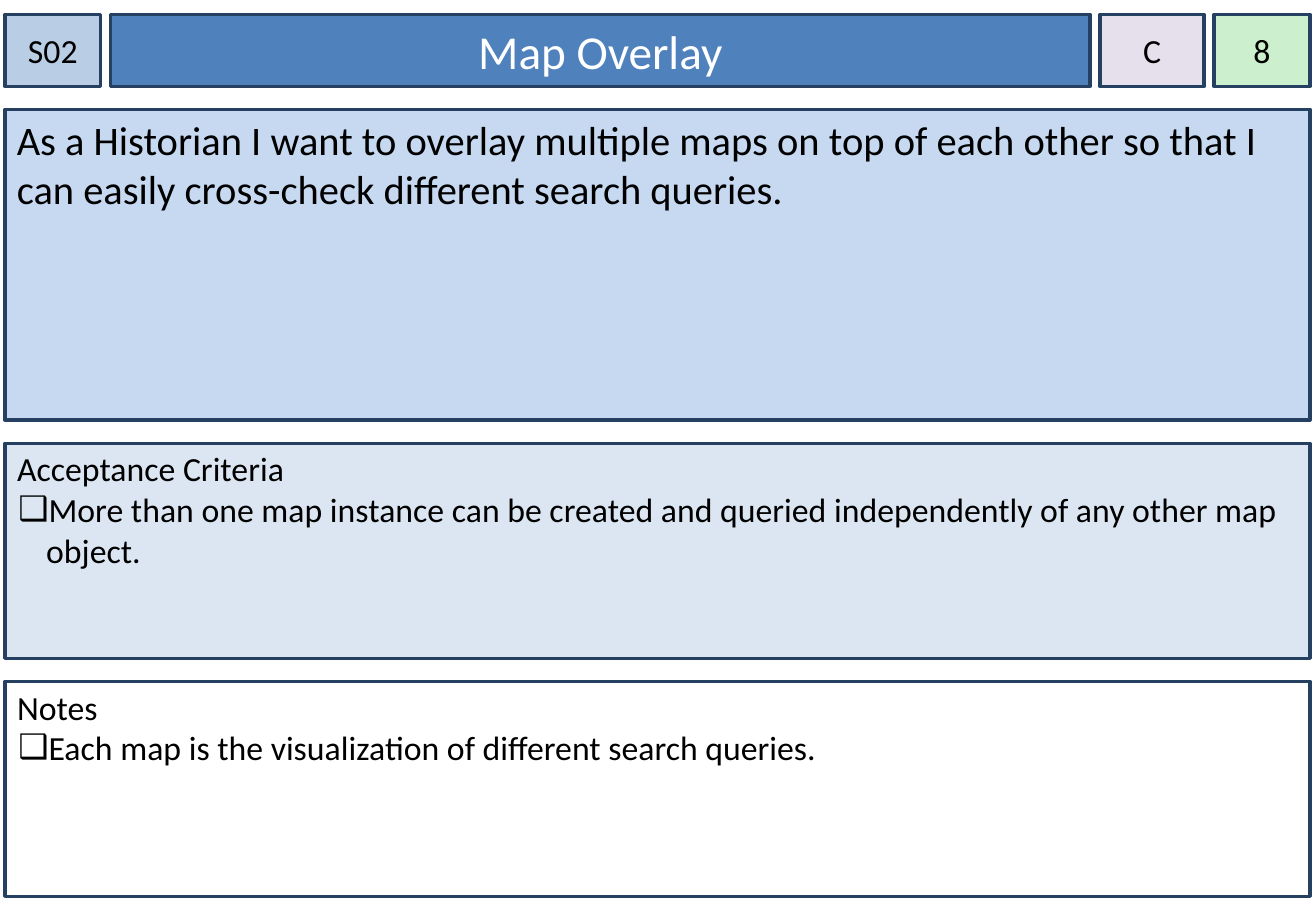
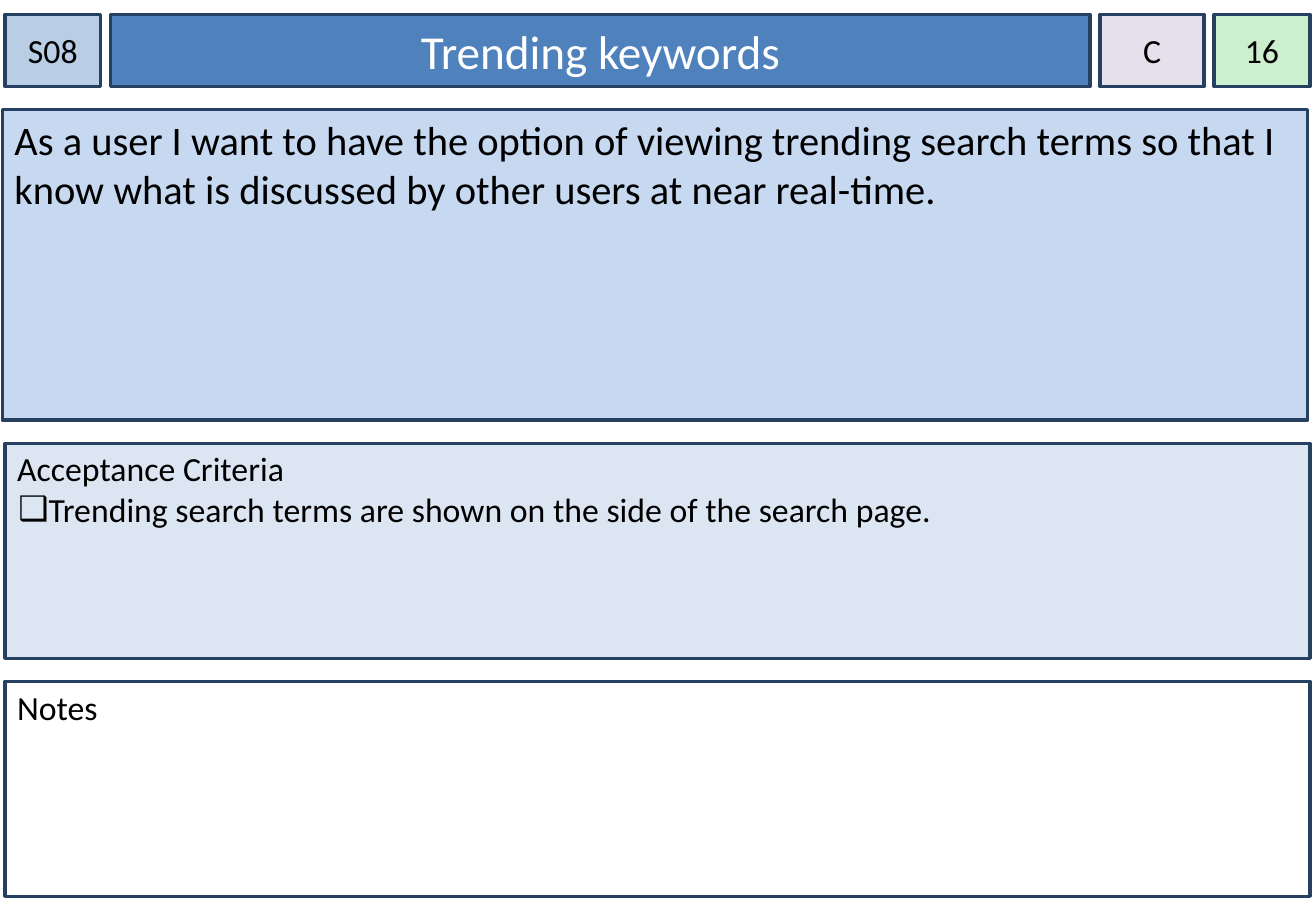
from lxml import etree
from pptx import Presentation
from pptx.dml.color import RGBColor
from pptx.enum.shapes import MSO_SHAPE
from pptx.enum.text import MSO_ANCHOR, MSO_AUTO_SIZE, PP_ALIGN
from pptx.oxml.ns import qn
from pptx.util import Pt

RECTANGLE = MSO_SHAPE.RECTANGLE
TOP, MIDDLE = MSO_ANCHOR.TOP, MSO_ANCHOR.MIDDLE
NO_AUTOFIT = MSO_AUTO_SIZE.NONE
LEFT, CENTER = PP_ALIGN.LEFT, PP_ALIGN.CENTER

PX = 9144
SLIDE_WIDTH, SLIDE_HEIGHT = 1084, 750
MARGIN = 4
PANEL_WIDTH = 1075
HEADER_TOP, HEADER_HEIGHT = 12, 59
STORY_TOP, STORY_HEIGHT = 90, 256
LIST_TOP, LIST_HEIGHT, LIST_STEP = 365, 177, 196
LIST_INDENT, LIST_HANG = 24, 23
TWO_CONTENT_LAYOUT = 3

FONT = "Calibri"
BULLET = "❑"
COLORS = {
    "outline": "254061",
    "text": "000000",
    "title_text": "FFFFFF",
    "code": "B9CDE5",
    "title": "4F81BD",
    "priority": "E6E0EC",
    "points": "CCF0CD",
    "story": "C6D9F1",
    "criteria": "DCE6F2",
    "notes": "FFFFFF",
}

CARDS = [
    {
        "code": "S02",
        "title": "Map Overlay",
        "priority": "C",
        "points": "8",
        "story_left": MARGIN,
        "story": "As a Historian I want to overlay multiple maps on top of each other "
                 "so that I can easily cross-check different search queries.",
        "criteria": ["More than one map instance can be created and queried "
                     "independently of any other map object."],
        "notes": ["Each map is the visualization of different search queries."],
    },
    {
        "code": "S08",
        "title": "Trending keywords",
        "priority": "C",
        "points": "16",
        "story_left": MARGIN - 2,
        "story": "As a user I want to have the option of viewing trending search terms "
                 "so that I know what is discussed by other users at near real-time.",
        "criteria": ["Trending search terms are shown on the side of the search page."],
        "notes": [],
    },
]


def color(name):
    return RGBColor.from_string(COLORS[name])


def px(length):
    return length * PX


def style_box(box, place, fill, anchor, side_inset=10, top_inset=5):
    box.left, box.top, box.width, box.height = map(px, place)
    box.shadow.inherit = False
    box.fill.solid()
    box.fill.fore_color.rgb = color(fill)
    box.line.color.rgb = color("outline")
    box.line.width = Pt(2)
    frame = box.text_frame
    frame.word_wrap = True
    frame.auto_size = NO_AUTOFIT
    frame.vertical_anchor = anchor
    frame.margin_left = frame.margin_right = px(side_inset)
    frame.margin_top, frame.margin_bottom = px(top_inset), px(5)


def write(para, text, size, align=LEFT, text_color="text"):
    para.alignment = align
    para.space_before = Pt(0)
    span = para.add_run()
    span.text = text
    span.font.name = FONT
    span.font.size = Pt(size)
    span.font.color.rgb = color(text_color)


def set_bullet(para, symbol=None):
    properties = para._p.get_or_add_pPr()
    properties.set("marL", str(px(LIST_INDENT if symbol else 0)))
    properties.set("indent", str(px(-LIST_HANG if symbol else 0)))
    if symbol:
        etree.SubElement(properties, qn("a:buChar")).set("char", symbol)
    else:
        etree.SubElement(properties, qn("a:buNone"))


def add_box(page, place, fill, text, size, align, anchor, side_inset=10):
    box = page.shapes.add_shape(RECTANGLE, *map(px, place))
    style_box(box, place, fill, anchor, side_inset)
    write(box.text_frame.paragraphs[0], text, size, align)


def add_badge(page, left, width, name, text):
    place = (left, HEADER_TOP, width, HEADER_HEIGHT)
    add_box(page, place, name, text, 20, CENTER, MIDDLE, side_inset=0)


def fill_title(page, text):
    title = page.shapes.title
    style_box(title, (91, HEADER_TOP, 807, HEADER_HEIGHT), "title", MIDDLE)
    write(title.text_frame.paragraphs[0], text, 28, CENTER, "title_text")


def fill_list(page, position, name, heading, items):
    box = page.placeholders[position + 1]
    top = LIST_TOP + position * LIST_STEP
    style_box(box, (MARGIN, top, PANEL_WIDTH, LIST_HEIGHT), name, TOP, top_inset=4)
    frame = box.text_frame
    write(frame.paragraphs[0], heading, 20)
    set_bullet(frame.paragraphs[0])
    for item in items:
        para = frame.add_paragraph()
        write(para, item, 20)
        set_bullet(para, BULLET)


def add_card(deck, card):
    page = deck.slides.add_slide(deck.slide_layouts[TWO_CONTENT_LAYOUT])
    fill_title(page, card["title"])
    for name, left, width in (("code", MARGIN, 79), ("priority", 906, 86), ("points", 1000, 79)):
        add_badge(page, left, width, name, card[name])
    story_place = (card["story_left"], STORY_TOP, PANEL_WIDTH, STORY_HEIGHT)
    add_box(page, story_place, "story", card["story"], 24, LEFT, TOP)
    fill_list(page, 0, "criteria", "Acceptance Criteria", card["criteria"])
    fill_list(page, 1, "notes", "Notes", card["notes"])


def main():
    deck = Presentation()
    deck.slide_width, deck.slide_height = px(SLIDE_WIDTH), px(SLIDE_HEIGHT)
    for card in CARDS:
        add_card(deck, card)
    deck.save("out.pptx")


if __name__ == "__main__":
    main()
